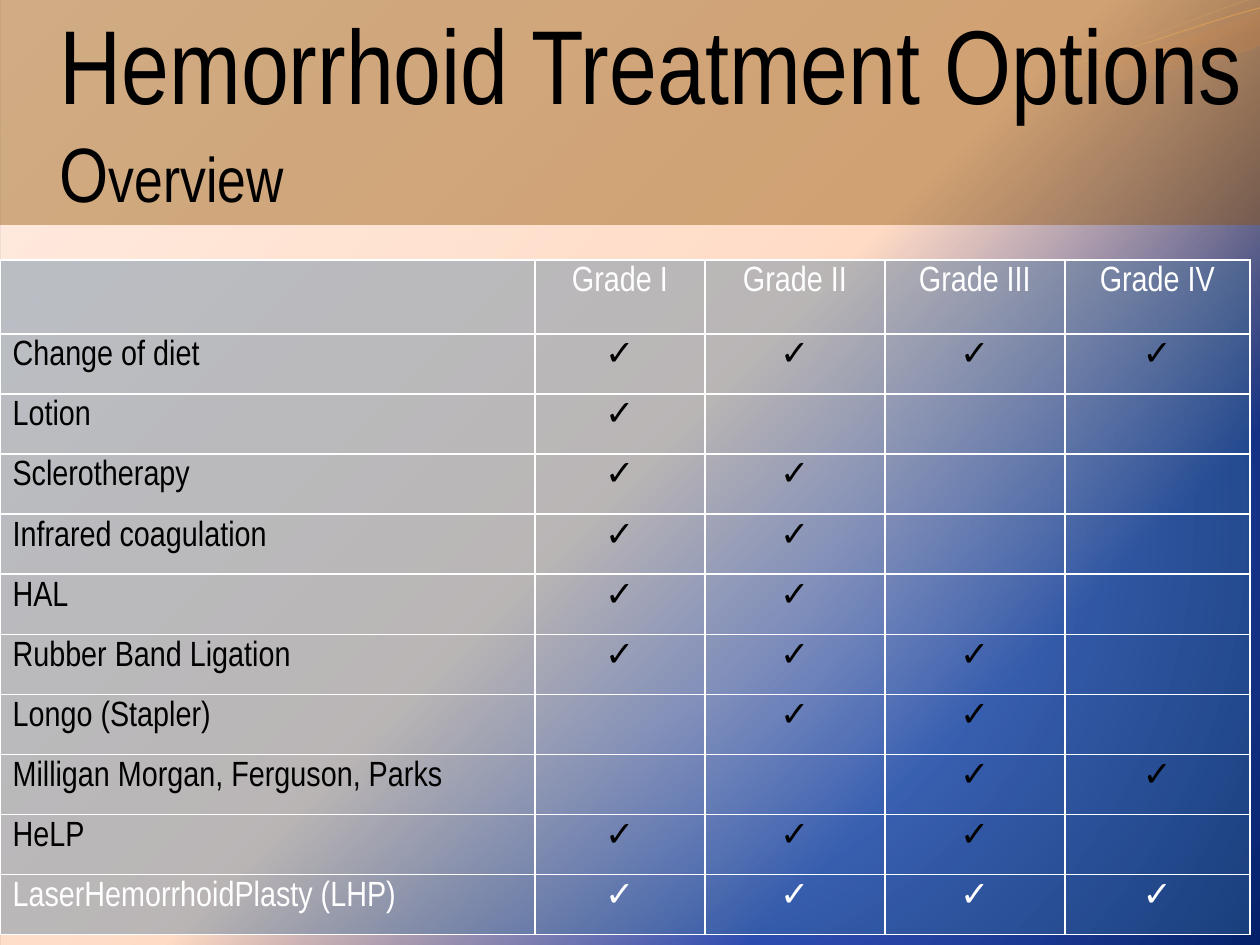
import pptx
import pptx.util
import pptx.dml.color
import pptx.enum.shapes
import pptx.enum.text
import pptx.oxml
import pptx.oxml.ns

PX = 914400 / 126
FONT = "Arial Narrow"
COLORS = {"black": "000000", "white": "FFFFFF", "cell": "40749B", "banner": "8F5201",
          "dark line": "645C51", "gold line": "FDA023"}
RGB = {name: pptx.dml.color.RGBColor.from_string(value) for name, value in COLORS.items()}
NS = pptx.oxml.ns.nsdecls("a")
qn = pptx.oxml.ns.qn


def set_gradient(fill, owner, stops, direction):
    fill.gradient()
    gradient = next(owner.iter(qn("a:gradFill")))
    for child in list(gradient):
        gradient.remove(child)
    marks = "".join(f'<a:gs pos="{pos * 1000}"><a:srgbClr val="{color}">'
                    f'<a:alpha val="{alpha * 1000}"/></a:srgbClr></a:gs>'
                    for pos, color, alpha in stops)
    for xml in (f"<a:gsLst {NS}>{marks}</a:gsLst>", direction):
        gradient.append(pptx.oxml.parse_xml(xml))


def set_solid(fill, owner, color, alpha):
    fill.solid()
    fill.fore_color.rgb = RGB[color]
    tint = next(owner.iter(qn("a:srgbClr")))
    tint.append(pptx.oxml.parse_xml(f'<a:alpha {NS} val="{alpha * 1000}"/>'))


radial = '<a:path {} path="circle"><a:fillToRect l="{}" t="{}" r="{}" b="{}"/></a:path>'
vertical = f'<a:lin {NS} ang="5400000" scaled="0"/>'

deck = pptx.Presentation()
deck.slide_width = round(1260 * PX)
deck.slide_height = round(945 * PX)
slide = deck.slides.add_slide(deck.slide_layouts[6])
shapes = slide.shapes

set_gradient(slide.background.fill, slide.element,
             [(0, "476DF8", 100), (25, "4D6EE7", 100), (100, "001C63", 100)],
             radial.format(NS, 10000, 110000, 10000, 100000))

waves = [
    ([(0, 0), (554, -1), (600, 21, 837, 79, 955, 79), (1075, 79, 1207, 33, 1260, 11),
      (1261, 45), (1239, 55, 1096, 96, 940, 95), (784, 95, 481, 35, 324, 43),
      (163, 45, 58, 105, -1, 142)],
     [(0, "88170C", 45), (100, "6C5F4E", 55)], None, 0),
    ([(604, -1), (641, 14, 859, 78, 969, 82), (1079, 87, 1211, 40, 1260, 26), (1260, 0)],
     [(0, "564D42", 30), (80, "AF1202", 45)], None, 0),
    ([(0, 140), (60, 117, 199, 72, 349, 66), (498, 59, 747, 112, 898, 101),
      (1050, 89, 1182, 19, 1257, -3)], None, "dark line", 0.85),
    ([(0, 131), (59, 121, 207, 77, 357, 71), (508, 64, 752, 106, 903, 95),
      (1053, 84, 1186, 26, 1260, 8)], None, "gold line", 0.75),
]
for outline, stops, line_color, line_width in waves:
    points = [step[i:i + 2] for step in outline for i in range(0, len(step), 2)]
    builder = shapes.build_freeform(*points[0], scale=PX)
    builder.add_line_segments(points[1:], close=bool(stops))
    wave = builder.convert_to_shape()
    segments = iter(list(wave.element.iter(qn("a:lnTo"))))
    for step in outline[1:]:
        segment = next(segments)
        if len(step) == 6:
            curve = pptx.oxml.parse_xml(f"<a:cubicBezTo {NS}/>")
            segment.addprevious(curve)
            for control in (segment, next(segments), next(segments)):
                curve.append(control[0])
                control.getparent().remove(control)
    wave.shadow.inherit = False
    if stops:
        set_gradient(wave.fill, wave.element, stops, vertical)
        wave.line.fill.background()
    else:
        wave.fill.background()
        wave.line.color.rgb = RGB[line_color]
        wave.line.width = pptx.util.Pt(line_width)

glow = shapes.add_shape(pptx.enum.shapes.MSO_SHAPE.RECTANGLE,
                        0, round(-5 * PX), round(1260 * PX), round(969 * PX))
glow.shadow.inherit = False
glow.line.fill.background()
set_gradient(glow.fill, glow.element,
             [(24, "FFC7A0", 0), (50, "FFDBC5", 100), (100, "FFEDE3", 100)],
             radial.format(NS, 100000, 100000, 0, 0))

treatments = [
    ("Change of diet", "1234"),
    ("Lotion", "1"),
    ("Sclerotherapy", "12"),
    ("Infrared coagulation", "12"),
    ("HAL", "12"),
    ("Rubber Band Ligation", "123"),
    ("Longo (Stapler)", "23"),
    ("Milligan Morgan, Ferguson, Parks", "34"),
    ("HeLP", "123"),
    ("LaserHemorrhoidPlasty (LHP)", "1234"),
]
rows = [["", "Grade I", "Grade II", "Grade III", "Grade IV"]]
rows += [[name] + ["✓" if grade in grades else "" for grade in "1234"]
         for name, grades in treatments]
widths = [535, 170, 180, 180, 185]
table_height, header_height = 675, 74
body_height = (table_height - header_height) / len(treatments)
options = shapes.add_table(len(rows), len(widths), 0, round(260 * PX),
                           round(sum(widths) * PX), round(table_height * PX)).table
options.first_row = options.horz_banding = False
for column, width in zip(options.columns, widths):
    column.width = round(width * PX)
for r, row in enumerate(options.rows):
    row.height = round((body_height if r else header_height) * PX)

for r, texts in enumerate(rows):
    for c, text in enumerate(texts):
        cell = options.cell(r, c)
        set_solid(cell.fill, cell._tc, "cell", 36)
        for i, side in enumerate(("lnL", "lnR", "lnT", "lnB")):
            cell._tc.tcPr.insert(i, pptx.oxml.parse_xml(
                f'<a:{side} {NS} w="12700"><a:solidFill><a:srgbClr val="{COLORS["white"]}"/>'
                f'</a:solidFill></a:{side}>'))
        if text:
            paragraph = cell.text_frame.paragraphs[0]
            if c:
                paragraph.alignment = pptx.enum.text.PP_ALIGN.CENTER
            run = paragraph.add_run()
            run.text = text
            run.font.name = FONT
            run.font.size = pptx.util.Pt(20)
            run.font.color.rgb = RGB["white" if r in (0, len(rows) - 1) else "black"]

banner = shapes.add_shape(pptx.enum.shapes.MSO_SHAPE.RECTANGLE,
                          round(-3 * PX), round(-8 * PX), round(1263 * PX), round(233 * PX))
banner.shadow.inherit = False
banner.line.fill.background()
set_solid(banner.fill, banner.element, "banner", 42)
heading = banner.text_frame
heading.word_wrap = True
heading.vertical_anchor = pptx.enum.text.MSO_ANCHOR.MIDDLE
heading.auto_size = pptx.enum.text.MSO_AUTO_SIZE.SHAPE_TO_FIT_TEXT
heading_lines = [[("\tHemorrhoid Treatment Options", 60)], [("\tO", 44), ("verview", 36)]]
for i, runs in enumerate(heading_lines):
    paragraph = heading.add_paragraph() if i else heading.paragraphs[0]
    paragraph.alignment = pptx.enum.text.PP_ALIGN.LEFT
    paragraph._p.get_or_add_pPr().append(pptx.oxml.parse_xml(
        f'<a:tabLst {NS}><a:tab pos="{round(50 * PX)}" algn="l"/></a:tabLst>'))
    for text, size in runs:
        run = paragraph.add_run()
        run.text = text
        run.font.name = FONT
        run.font.size = pptx.util.Pt(size)
        run.font.color.rgb = RGB["black"]

deck.save("out.pptx")
